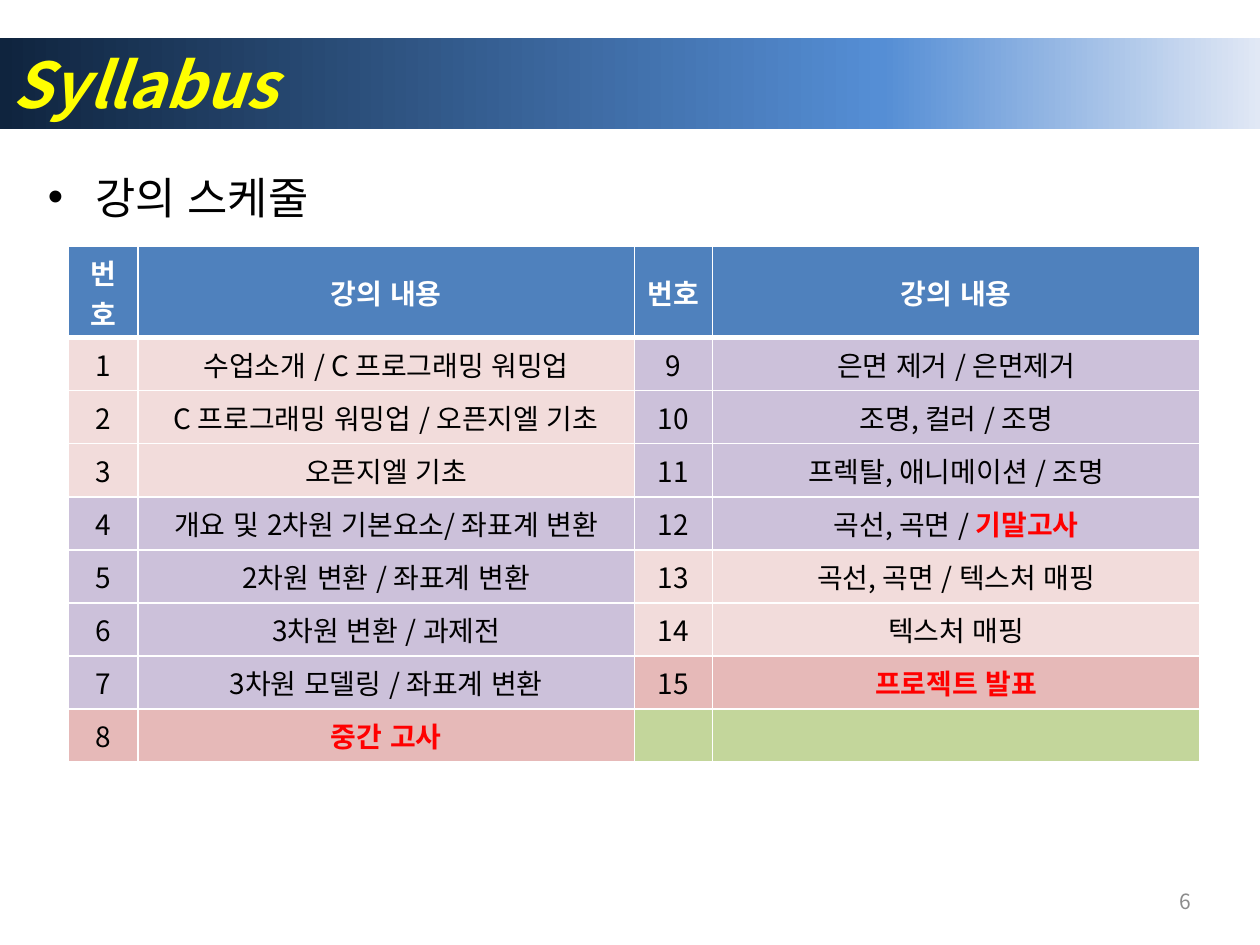
from copy import deepcopy
from dataclasses import dataclass

from lxml.etree import SubElement
from pptx import Presentation
from pptx.dml.color import RGBColor
from pptx.enum.lang import MSO_LANGUAGE_ID
from pptx.enum.text import MSO_ANCHOR, MSO_AUTO_SIZE, PP_ALIGN
from pptx.oxml.ns import qn
from pptx.util import Emu, Inches, Pt


@dataclass(frozen=True)
class Theme:
    font: str = "Noto Sans CJK KR"
    title_size: int = 36
    list_size: int = 25
    table_size: int = 16
    number_size: int = 12
    title: str = "FFFF00"
    ink: str = "000000"
    paper: str = "FFFFFF"
    exam: str = "FF0000"
    muted: str = "8C8C8C"
    header: str = "4F81BD"
    basics: str = "F2DCDB"
    graphics: str = "CCC1DA"
    milestone: str = "E6B9B8"
    free: str = "C3D69B"
    banner: tuple = ((0, "0F243E"), (0.7, "558ED5"), (1, "E1E8F5"))


@dataclass(frozen=True)
class Area:
    """Place on a grid of 100 columns by 75 rows."""
    column: float
    row: float
    columns: float
    rows: float

    def lengths(self) -> tuple:
        return tuple(cells(n) for n in (self.column, self.row, self.columns, self.rows))


@dataclass(frozen=True)
class Week:
    fill: str
    topic: str = ""
    exam: str = ""


THEME = Theme()
WIDTH, HEIGHT = Inches(10), Inches(7.5)
GRID_COLUMNS = 100

BANNER = Area(0, 3, 100, 7.22)
OUTLINE = Area(2.8, 13.85, 90, 57.3)
SCHEDULE = Area(5.45, 19.55, 89.8, 40.9)
PAGE_NUMBER = Area(72.2, 69.5, 23.3, 4)
COLUMN_WIDTHS = (5.5, 39.4, 6.2, 38.7)
HEADER_HEIGHT, WEEK_HEIGHT = 7.25, 4.21
HEADINGS = ("번호", "강의 내용") * 2
WEEKS_PER_HALF = 8

WEEKS = (
    Week(THEME.basics, "수업소개 / C 프로그래밍 워밍업"),
    Week(THEME.basics, "C 프로그래밍 워밍업 / 오픈지엘 기초"),
    Week(THEME.basics, "오픈지엘 기초"),
    Week(THEME.graphics, "개요 및 2차원 기본요소/ 좌표계 변환"),
    Week(THEME.graphics, "2차원 변환 / 좌표계 변환"),
    Week(THEME.graphics, "3차원 변환 / 과제전"),
    Week(THEME.graphics, "3차원 모델링 / 좌표계 변환"),
    Week(THEME.milestone, exam="중간 고사"),
    Week(THEME.graphics, "은면 제거 / 은면제거"),
    Week(THEME.graphics, "조명, 컬러 / 조명"),
    Week(THEME.graphics, "프렉탈, 애니메이션 / 조명"),
    Week(THEME.graphics, "곡선, 곡면 / ", "기말고사"),
    Week(THEME.basics, "곡선, 곡면 / 텍스처 매핑"),
    Week(THEME.basics, "텍스처 매핑"),
    Week(THEME.milestone, exam="프로젝트 발표"),
    Week(THEME.free),
)


def cells(count: float) -> Emu:
    return Emu(round(WIDTH * count / GRID_COLUMNS))


def place(shape, area: Area) -> None:
    shape.left, shape.top, shape.width, shape.height = area.lengths()


def add_run(paragraph, text: str, size: int, color: str,
            bold: bool = False, italic: bool = False) -> None:
    run = paragraph.add_run()
    run.text = text
    font = run.font
    font.name, font.size, font.bold, font.italic = THEME.font, Pt(size), bold, italic
    font.language_id = MSO_LANGUAGE_ID.KOREAN
    font.color.rgb = RGBColor.from_string(color)
    SubElement(run._r.get_or_add_rPr(), qn("a:ea")).set("typeface", THEME.font)


def fill_banner(shape) -> None:
    shape.fill.gradient()
    shape.fill.gradient_angle = 0
    stop_list = shape._element.spPr.find(qn("a:gradFill")).find(qn("a:gsLst"))
    stop_list.append(deepcopy(stop_list[0]))
    for stop, (position, color) in zip(shape.fill.gradient_stops, THEME.banner):
        stop.position = position
        stop.color.rgb = RGBColor.from_string(color)


def paint_cell(cell, color: str):
    """Fill a cell and return its centred paragraph."""
    cell.fill.solid()
    cell.fill.fore_color.rgb = RGBColor.from_string(color)
    cell.vertical_anchor = MSO_ANCHOR.MIDDLE
    paragraph = cell.text_frame.paragraphs[0]
    paragraph.alignment = PP_ALIGN.CENTER
    return paragraph


def frame_heading(cell) -> None:
    properties = cell._tc.get_or_add_tcPr()
    for index, (side, points) in enumerate((("lnL", 1), ("lnR", 1), ("lnT", 1), ("lnB", 3))):
        line = SubElement(properties, qn(f"a:{side}"), w=str(Pt(points)))
        solid = SubElement(line, qn("a:solidFill"))
        SubElement(solid, qn("a:srgbClr"), val=THEME.paper)
        properties.insert(index, line)


def write_week(table, index: int, week: Week) -> None:
    half, row = divmod(index, WEEKS_PER_HALF)
    number, content = (paint_cell(table.cell(row + 1, 2 * half + side), week.fill)
                       for side in (0, 1))
    if week.topic or week.exam:
        add_run(number, str(index + 1), THEME.table_size, THEME.ink)
    else:
        number.font.size = content.font.size = Pt(THEME.table_size)
    if week.topic:
        add_run(content, week.topic, THEME.table_size, THEME.ink)
    if week.exam:
        add_run(content, week.exam, THEME.table_size, THEME.exam, bold=True)


def add_schedule(slide) -> None:
    table = slide.shapes.add_table(WEEKS_PER_HALF + 1, len(HEADINGS),
                                   *SCHEDULE.lengths()).table
    table.horz_banding = False
    for column, width in zip(table.columns, COLUMN_WIDTHS):
        column.width = cells(width)
    for index, row in enumerate(table.rows):
        row.height = cells(WEEK_HEIGHT if index else HEADER_HEIGHT)
    for index, heading in enumerate(HEADINGS):
        cell = table.cell(0, index)
        add_run(paint_cell(cell, THEME.header), heading,
                THEME.table_size, THEME.paper, bold=True)
        frame_heading(cell)
    for index, week in enumerate(WEEKS):
        write_week(table, index, week)


presentation = Presentation()
presentation.slide_width, presentation.slide_height = WIDTH, HEIGHT
syllabus = presentation.slides.add_slide(presentation.slide_layouts[1])

# Title banner
banner = syllabus.shapes.title
place(banner, BANNER)
fill_banner(banner)
banner.text_frame.auto_size = MSO_AUTO_SIZE.NONE
banner.text_frame.vertical_anchor = MSO_ANCHOR.MIDDLE
heading_line = banner.text_frame.paragraphs[0]
heading_line.alignment = PP_ALIGN.LEFT
add_run(heading_line, "Syllabus", THEME.title_size, THEME.title, bold=True, italic=True)

# Bullet list
outline = syllabus.placeholders[1]
place(outline, OUTLINE)
outline.text_frame.auto_size = MSO_AUTO_SIZE.NONE
schedule_line = outline.text_frame.paragraphs[0]
schedule_line.line_spacing = 0.8
add_run(schedule_line, "강의 스케줄", THEME.list_size, THEME.ink)

# Page number
page_number = syllabus.shapes.add_textbox(*PAGE_NUMBER.lengths())
page_number.text_frame.word_wrap = True
page_number.text_frame.vertical_anchor = MSO_ANCHOR.MIDDLE
number_line = page_number.text_frame.paragraphs[0]
number_line.alignment = PP_ALIGN.RIGHT
add_run(number_line, "6", THEME.number_size, THEME.muted)

# Lecture schedule
add_schedule(syllabus)

presentation.save("out.pptx")
